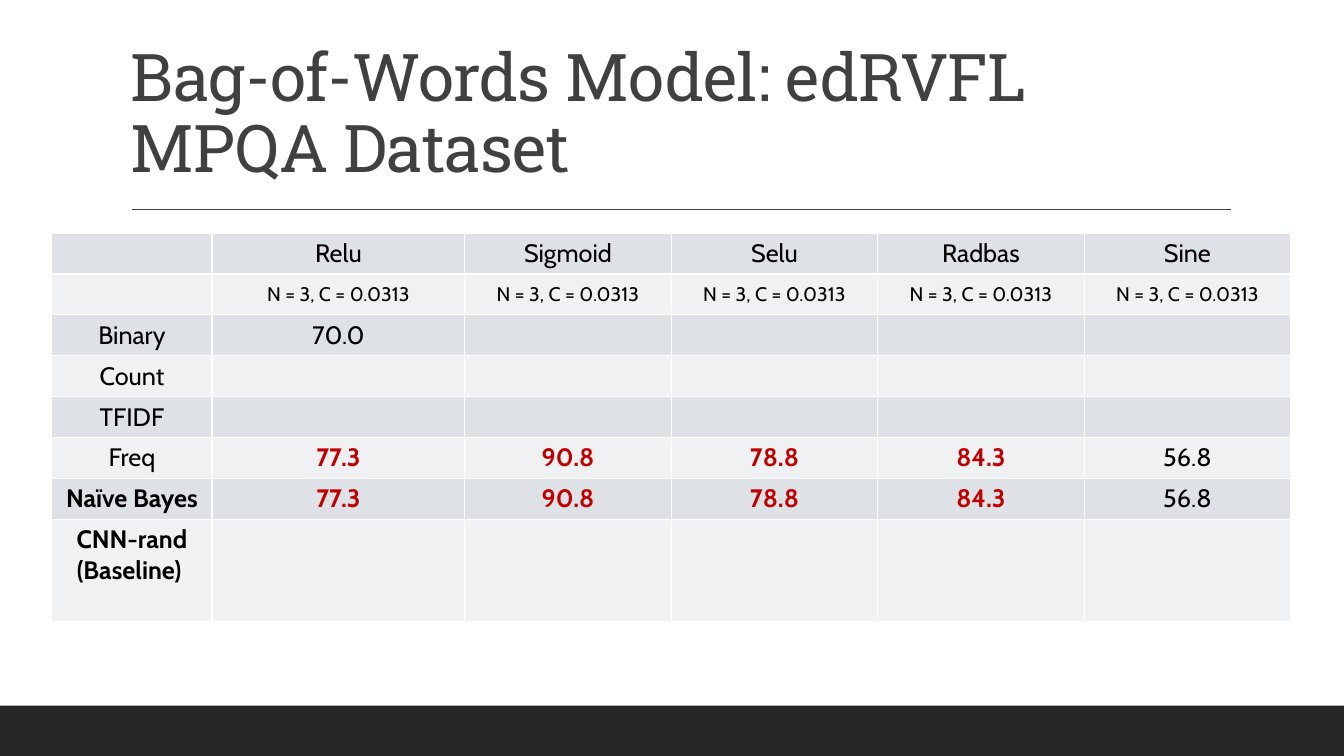
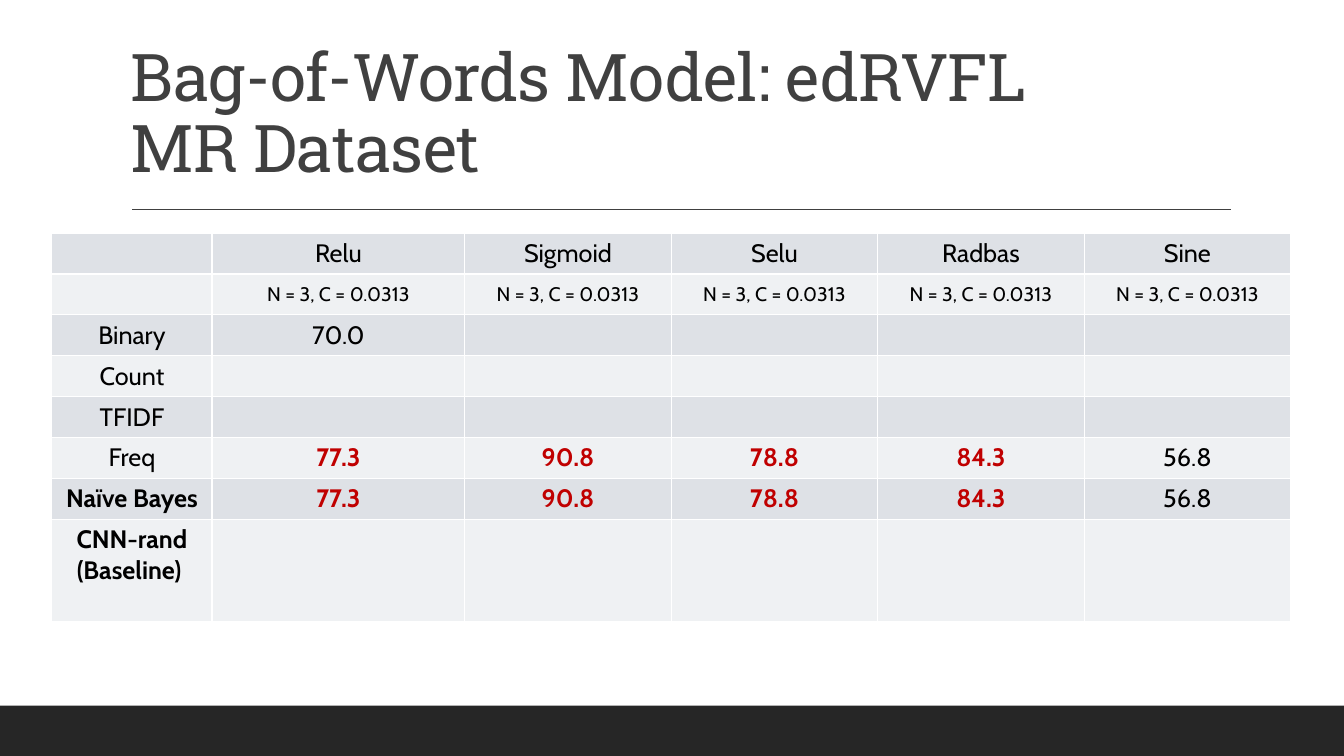
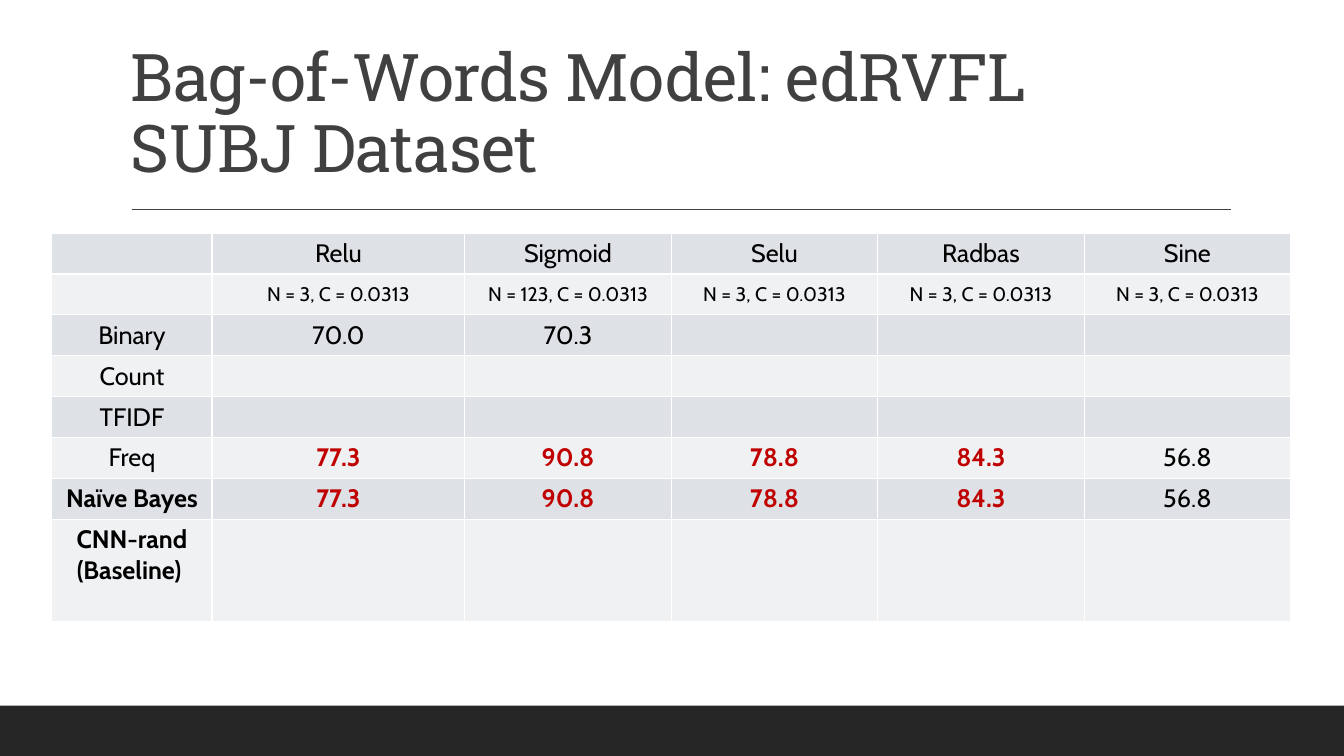
import pptx
import pptx.dml.color
import pptx.enum.shapes
import pptx.enum.text
import pptx.oxml
import pptx.oxml.ns
import pptx.util

Pt = pptx.util.Pt
RGBColor = pptx.dml.color.RGBColor
PP_ALIGN = pptx.enum.text.PP_ALIGN
MSO_ANCHOR = pptx.enum.text.MSO_ANCHOR

FOOTER = RGBColor(0x26, 0x26, 0x26)
TITLE = RGBColor(0x40, 0x40, 0x40)
BANDS = [RGBColor(0xDE, 0xE1, 0xE6), RGBColor(0xEF, 0xF1, 0xF3)]
BLACK = RGBColor(0x00, 0x00, 0x00)
RED = RGBColor(0xC0, 0x00, 0x00)
TITLE_FONT = "Roboto Slab"
BODY_FONT = "Cabin"

COL_WIDTHS = [114.5, 180.5] + [147.5] * 4
ROW_HEIGHTS = [29.2] * 7 + [73]
SETTINGS = "N = 3, C = 0.0313"
SETTINGS_ROW = 1
SCORES = ["77.3", "90.8", "78.8", "84.3", "56.8"]
BOLD_LABELS = ["Naïve Bayes", "CNN-rand\n(Baseline) "]

# dataset, settings per activation, binary scores
SLIDES = [
    ("MPQA", [SETTINGS] * 5, ["70.0", "", "", "", ""]),
    ("MR", [SETTINGS] * 5, ["70.0", "", "", "", ""]),
    ("SUBJ", [SETTINGS, "N = 123, C = 0.0313"] + [SETTINGS] * 3,
     ["70.0", "70.3", "", "", ""]),
]


def add_borders(cell):
    """Give the cell a 1 pt white line on each side; call before setting its fill."""
    tcPr = cell._tc.get_or_add_tcPr()
    for side in ("lnL", "lnR", "lnT", "lnB"):
        tcPr.append(pptx.oxml.parse_xml(
            f'<a:{side} {pptx.oxml.ns.nsdecls("a")} w="12700"><a:solidFill>'
            f'<a:srgbClr val="FFFFFF"/></a:solidFill></a:{side}>'))


prs = pptx.Presentation()
prs.slide_width, prs.slide_height = Pt(960), Pt(540)

for dataset, settings, binary in SLIDES:
    s = prs.slides.add_slide(prs.slide_layouts[6])

    band = s.shapes.add_shape(pptx.enum.shapes.MSO_SHAPE.RECTANGLE,
                              Pt(0), Pt(504), Pt(960), Pt(36))
    band.shadow.inherit = False
    band.fill.solid()
    band.fill.fore_color.rgb = FOOTER
    band.line.fill.background()

    rule = s.shapes.add_connector(pptx.enum.shapes.MSO_CONNECTOR.STRAIGHT,
                                  Pt(94.5), Pt(149.5), Pt(879), Pt(149.5))
    rule.line.color.rgb = TITLE
    rule.line.width = Pt(1)
    rule._element.spPr.append(pptx.oxml.parse_xml(
        f'<a:effectLst {pptx.oxml.ns.nsdecls("a")}/>'))

    tf = s.shapes.add_textbox(Pt(86.5), Pt(22.5), Pt(792), Pt(114.5)).text_frame
    tf.word_wrap = True
    tf.vertical_anchor = MSO_ANCHOR.BOTTOM
    p = tf.paragraphs[0]
    p.text = f"Bag-of-Words Model: edRVFL\n{dataset} Dataset"
    p.line_spacing = 0.9
    for r in p.runs:
        r.font.name = TITLE_FONT
        r.font.size = Pt(47)
        r.font.color.rgb = TITLE
        r._r.get_or_add_rPr().set("spc", "-50")

    rows = [
        ["", "Relu", "Sigmoid", "Selu", "Radbas", "Sine"],
        [""] + settings,
        ["Binary"] + binary,
        ["Count"] + [""] * 5,
        ["TFIDF"] + [""] * 5,
        ["Freq"] + SCORES,
        [BOLD_LABELS[0]] + SCORES,
        [BOLD_LABELS[1]] + [""] * 5,
    ]
    table = s.shapes.add_table(len(rows), len(COL_WIDTHS), Pt(37), Pt(166.5),
                               Pt(sum(COL_WIDTHS)), Pt(sum(ROW_HEIGHTS))).table
    table.first_row = False
    table.horz_banding = False
    for column, width in zip(table.columns, COL_WIDTHS):
        column.width = Pt(width)
    for i, (texts, height) in enumerate(zip(rows, ROW_HEIGHTS)):
        table.rows[i].height = Pt(height)
        for j, text in enumerate(texts):
            cell = table.cell(i, j)
            add_borders(cell)
            cell.fill.solid()
            cell.fill.fore_color.rgb = BANDS[i % 2]
            if not text:
                continue
            if i == SETTINGS_ROW:
                cell.vertical_anchor = MSO_ANCHOR.MIDDLE
            # every score but the last column's is highlighted
            highlighted = texts[1:] == SCORES and 0 < j < len(SCORES)
            p = cell.text_frame.paragraphs[0]
            p.text = text
            p.alignment = PP_ALIGN.CENTER
            for r in p.runs:
                r.font.name = BODY_FONT
                r.font.size = Pt(14 if i == SETTINGS_ROW else 18)
                r.font.bold = highlighted or text in BOLD_LABELS
                r.font.color.rgb = RED if highlighted else BLACK

prs.save("out.pptx")
